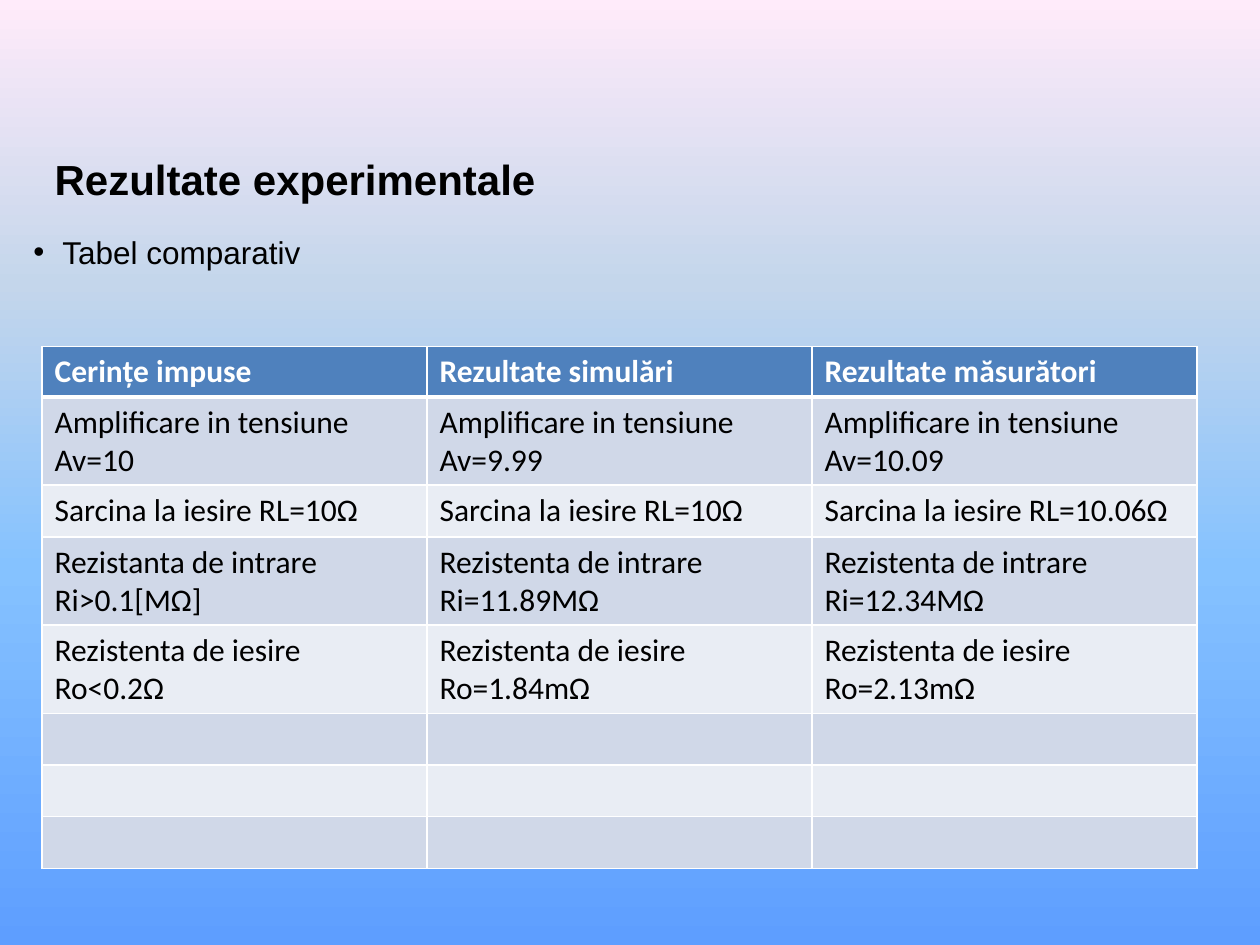
from lxml import etree
from pptx import Presentation
from pptx import util as u
from pptx.dml.color import RGBColor
from pptx.enum import text
from pptx.oxml import ns

COLORS = {"ink": "000000", "white": "FFFFFF", "header": "4F81BD",
          "band": "D0D8E8", "plain": "E9EDF4"}
SKY = [(0, "5E9EFF"), (40, "85C2FF"), (70, "C4D6EB"), (100, "FFEBFA")]
COLUMNS, ROWS = 120, 90
WIDTH, HEIGHT = u.Inches(10), u.Inches(7.5)
TABLE = [
    ["Cerințe impuse", "Rezultate simulări", "Rezultate măsurători"],
    ["Amplificare in tensiune Av=10", "Amplificare in tensiune\nAv=9.99",
     "Amplificare in tensiune Av=10.09"],
    ["Sarcina la iesire RL=10Ω", "Sarcina la iesire RL=10Ω",
     "Sarcina la iesire RL=10.06Ω"],
    ["Rezistanta de intrare Ri>0.1[MΩ]", "Rezistenta de intrare\nRi=11.89MΩ",
     "Rezistenta de intrare\nRi=12.34MΩ"],
    ["Rezistenta de iesire Ro<0.2Ω", "Rezistenta de iesire\nRo=1.84mΩ",
     "Rezistenta de iesire\nRo=2.13mΩ"],
] + [[""] * 3] * 3


def place(column, row, width, height):
    return (WIDTH * column // COLUMNS, HEIGHT * row // ROWS,
            WIDTH * width // COLUMNS, HEIGHT * height // ROWS)


def add_node(parent, tag, **attributes):
    return etree.SubElement(parent, ns.qn(tag), **attributes)


def format_text(frame, size, font, color="ink", bold=False):
    for para in frame.paragraphs:
        for span in para.runs:
            span.font.size = u.Pt(size)
            span.font.name = font
            span.font.bold = bold
            span.font.color.rgb = RGBColor.from_string(COLORS[color])


def paint_background(page):
    fill = page.background.fill
    fill.gradient()
    fill.gradient_angle = 90
    stops = next(page._element.iter(ns.qn("a:gsLst")))
    for stop in list(stops):
        stops.remove(stop)
    for position, color in SKY:
        stop = add_node(stops, "a:gs", pos=str(position * 1000))
        add_node(stop, "a:srgbClr", val=color)


def set_title(page, words):
    title = page.shapes.title
    title.left, title.top, title.width, title.height = place(4, 14, 102, 6)
    frame = title.text_frame
    frame.text = words
    frame.vertical_anchor = text.MSO_ANCHOR.MIDDLE
    frame.paragraphs[0].alignment = text.PP_ALIGN.LEFT
    format_text(frame, 24, "Arial", bold=True)


def add_bullet(page, words):
    box = page.shapes.add_textbox(*place(2, 21, 112, 6))
    frame = box.text_frame
    frame.word_wrap = True
    frame.vertical_anchor = text.MSO_ANCHOR.MIDDLE
    frame.text = words
    para = frame.paragraphs[0]
    para.alignment = text.PP_ALIGN.JUSTIFY
    format_text(frame, 18, "Arial")
    indent = u.Inches(0.23)
    properties = para._p.get_or_add_pPr()
    properties.set("marL", str(indent))
    properties.set("indent", str(-indent))
    add_node(properties, "a:buFont", typeface="Arial")
    add_node(properties, "a:buChar", char="•")


def add_borders(cell, **widths):
    properties = cell._tc.get_or_add_tcPr()
    for index, (side, points) in enumerate(widths.items()):
        line = etree.Element(ns.qn(f"a:ln{side}"), w=str(u.Pt(points)))
        solid = add_node(line, "a:solidFill")
        add_node(solid, "a:srgbClr", val=COLORS["white"])
        properties.insert(index, line)


def fill_cell(cell, words, row):
    header = row == 0
    fill = "header" if header else "band" if row % 2 else "plain"
    cell.fill.solid()
    cell.fill.fore_color.rgb = RGBColor.from_string(COLORS[fill])
    cell.text_frame.text = words
    format_text(cell.text_frame, 18, "Calibri",
                "white" if header else "ink", header)
    add_borders(cell, L=1, R=1, T=3 if row == 1 else 1, B=3 if header else 1)


def add_results(page):
    area = place(4, 33, 110, 49.5)
    table = page.shapes.add_table(len(TABLE), len(TABLE[0]),
                                  *map(int, area)).table
    for index, line in enumerate(table.rows):
        line.height = u.Inches(0.41 if index else 0.24)
        for cell, words in zip(line.cells, TABLE[index]):
            fill_cell(cell, words, index)


def main():
    deck = Presentation()
    deck.slide_width, deck.slide_height = WIDTH, HEIGHT
    page = deck.slides.add_slide(deck.slide_layouts[5])
    paint_background(page)
    set_title(page, "Rezultate experimentale")
    add_bullet(page, "Tabel comparativ ")
    add_results(page)
    deck.save("out.pptx")


if __name__ == "__main__":
    main()
